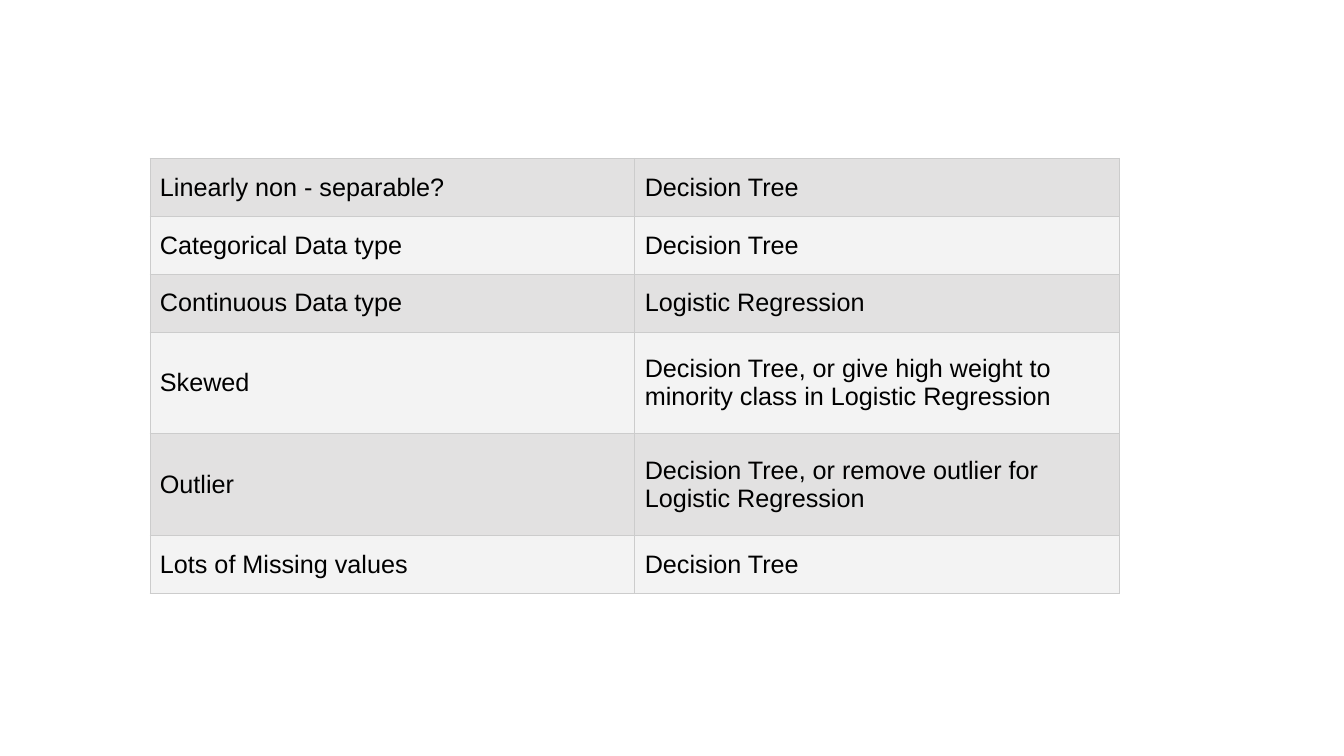
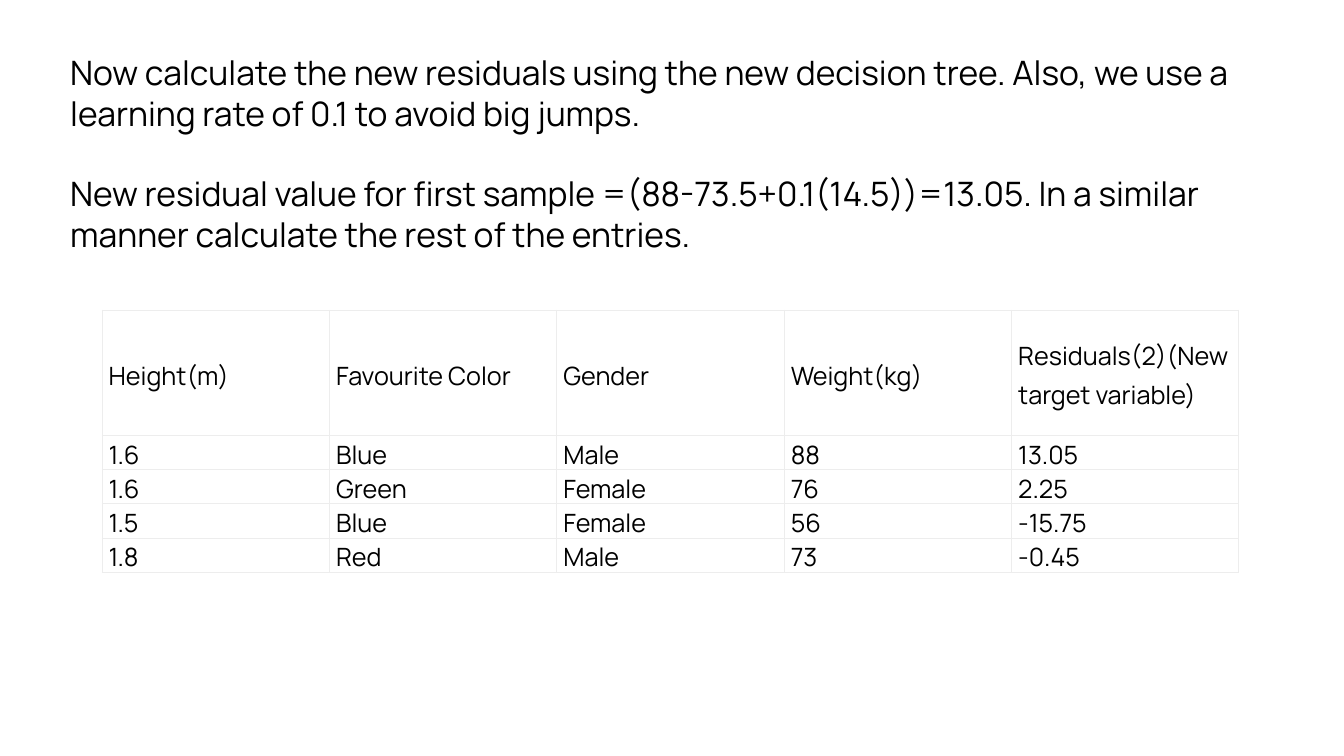
import pptx
import pptx.dml.color
import pptx.enum.text
import pptx.oxml
import pptx.oxml.ns
import pptx.util

Cm = pptx.util.Cm
Pt = pptx.util.Pt
RGBColor = pptx.dml.color.RGBColor

# Shared style
BLACK = RGBColor(0x00, 0x00, 0x00)
WHITE = RGBColor(0xFF, 0xFF, 0xFF)
DARK_BAND = RGBColor(0xE2, 0xE1, 0xE1)
LIGHT_BAND = RGBColor(0xF3, 0xF3, 0xF3)
GUIDE_RULE = RGBColor(0xCC, 0xCC, 0xCC)
RESIDUAL_RULE = RGBColor(0xED, 0xED, 0xED)
TABLE_SIZE = Pt(18)
BODY_SIZE = Pt(24)
RULE_WIDTH = Pt(0.75)

# Content
MODEL_GUIDE = [
    ("Linearly non - separable?", "Decision Tree"),
    ("Categorical Data type", "Decision Tree"),
    ("Continuous Data type", "Logistic Regression"),
    ("Skewed", "Decision Tree, or give high weight to minority class in Logistic Regression"),
    ("Outlier", "Decision Tree, or remove outlier for Logistic Regression"),
    ("Lots of Missing values", "Decision Tree"),
]
EXPLANATION = [
    "Now calculate the new residuals using the new decision tree. "
    "Also, we use a learning rate of 0.1 to avoid big jumps.",
    "New residual value for first sample =(88-73.5+0.1(14.5))=13.05. "
    "In a similar manner calculate the rest of the entries.",
]
RESIDUALS = [
    ("Height(m)", "Favourite Color", "Gender", "Weight(kg)", "Residuals(2)(New target variable)"),
    ("1.6", "Blue", "Male", "88", "13.05"),
    ("1.6", "Green", "Female", "76", "2.25"),
    ("1.5", "Blue", "Female", "56", "-15.75"),
    ("1.8", "Red", "Male", "73", "-0.45"),
]


def style_runs(paragraph, font_name, size):
    for run in paragraph.runs:
        run.font.name = font_name
        run.font.size = size
        run.font.color.rgb = BLACK


def draw_borders(cell, color):
    properties = cell._tc.get_or_add_tcPr()
    for side in ("lnL", "lnR", "lnT", "lnB"):
        properties.append(pptx.oxml.parse_xml(
            f'<a:{side} {pptx.oxml.ns.nsdecls("a")} w="{RULE_WIDTH}">'
            f'<a:solidFill><a:srgbClr val="{color}"/></a:solidFill></a:{side}>'))


def add_grid(slide, entries, left, top, column_width, row_heights,
             font_name, bands, rule, inset_x, inset_y):
    """Add a table of equal columns whose row fills cycle through bands."""
    column_count = len(entries[0])
    grid = slide.shapes.add_table(
        len(entries), column_count, left, top,
        column_width * column_count, sum(row_heights)).table
    for column in grid.columns:
        column.width = column_width
    for row_index, (row, height) in enumerate(zip(grid.rows, row_heights)):
        row.height = height
        for cell, entry in zip(row.cells, entries[row_index]):
            cell.margin_left = cell.margin_right = inset_x
            cell.margin_top = cell.margin_bottom = inset_y
            cell.vertical_anchor = pptx.enum.text.MSO_ANCHOR.MIDDLE
            draw_borders(cell, rule)
            cell.fill.solid()
            cell.fill.fore_color.rgb = bands[row_index % len(bands)]
            cell.text_frame.text = entry
            style_runs(cell.text_frame.paragraphs[0], font_name, TABLE_SIZE)
    return grid


def add_explanation(slide, passages):
    frame = slide.shapes.add_textbox(Cm(1.52), Cm(1.19), Cm(31.01), Cm(5.38)).text_frame
    frame.word_wrap = True
    frame.text = "\n".join(passages)
    for index, paragraph in enumerate(frame.paragraphs):
        if index:
            paragraph.space_before = Pt(28.8)
        style_runs(paragraph, "Manrope", BODY_SIZE)


def build_model_guide(slide):
    single, double = Cm(1.46), Cm(2.56)
    add_grid(slide, MODEL_GUIDE, Cm(3.78), Cm(3.99), Cm(12.22),
             [single] * 3 + [double] * 2 + [single],
             "Arial", (DARK_BAND, LIGHT_BAND), GUIDE_RULE, Cm(0.25), Cm(0.13))


def build_residuals(slide):
    add_explanation(slide, EXPLANATION)
    grid = add_grid(slide, RESIDUALS, Cm(2.57), Cm(7.82), Cm(5.73),
                    [Cm(3.15)] + [Cm(0.85)] * 4,
                    "Manrope", (WHITE,), RESIDUAL_RULE, Cm(0.17), Cm(0.05))
    # Looser lines in the heading row
    for heading in grid.rows[0].cells:
        heading.text_frame.paragraphs[0].line_spacing = 1.15


def main():
    deck = pptx.Presentation()
    deck.slide_width, deck.slide_height = Cm(33.87), Cm(19.05)
    blank = deck.slide_layouts[6]
    for build in (build_model_guide, build_residuals):
        build(deck.slides.add_slide(blank))
    deck.save("out.pptx")


if __name__ == "__main__":
    main()
